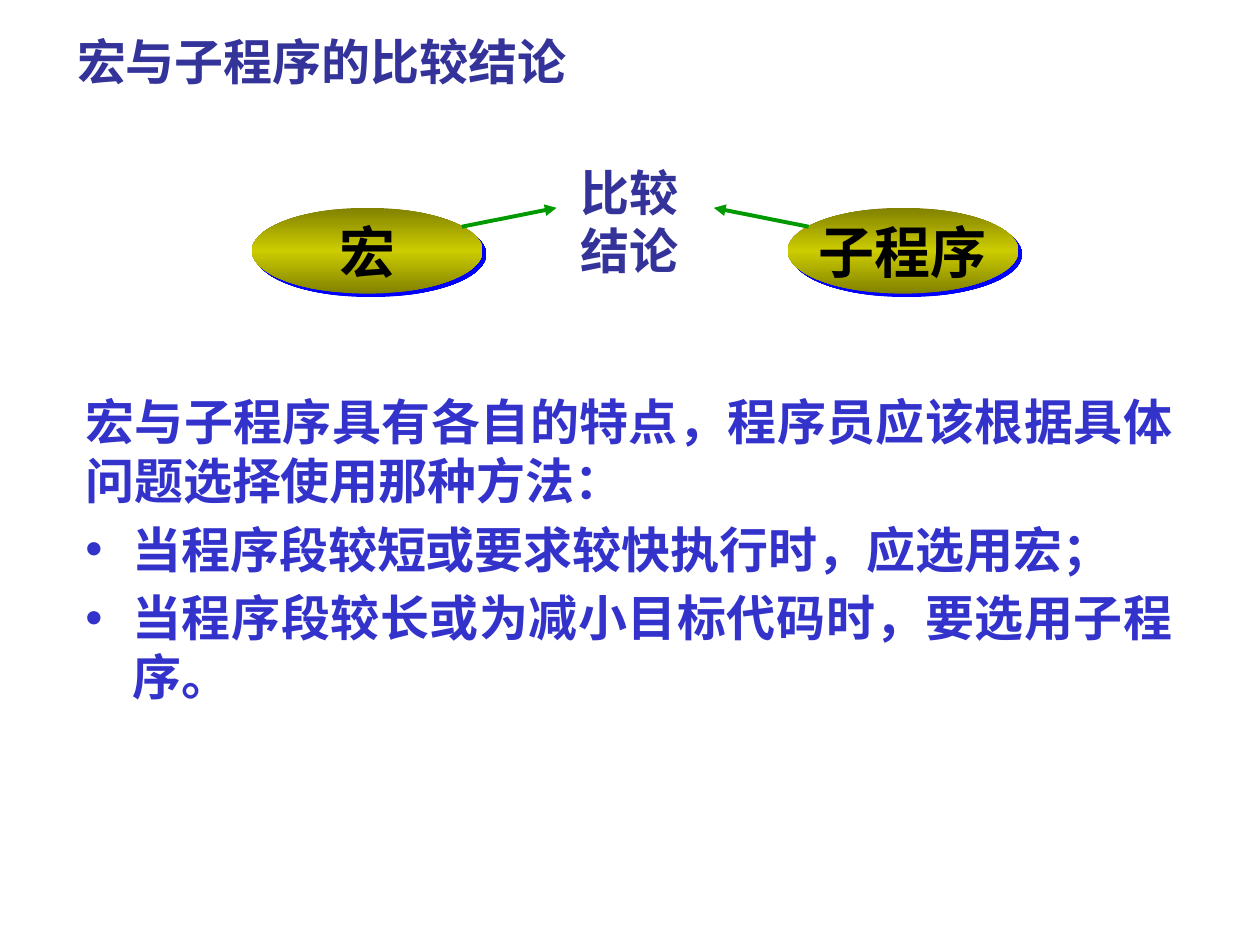
from copy import deepcopy

from lxml import etree
from pptx import Presentation
from pptx import util as u
from pptx.dml.color import RGBColor
from pptx.enum import shapes, text
from pptx.oxml.ns import qn

NAVY, BLUE, GREEN = "333399", "3333CC", "009900"
DARK_OLIVE, OLIVE = "818100", "CCCC00"


def rgb(value):
    return RGBColor.from_string(value)


def style(paragraph, size, color, align):
    paragraph.alignment = align
    for run in paragraph.runs:
        run.font.name = "Arial"
        run.font.size = u.Pt(size)
        run.font.bold = True
        run.font.color.rgb = rgb(color)


prs = Presentation()
prs.slide_width, prs.slide_height = u.Cm(25.4), u.Cm(19.05)
slide = prs.slides.add_slide(prs.slide_layouts[5])

heading = slide.shapes.title
heading.left, heading.top = u.Cm(1.3), u.Cm(0.53)
heading.width, heading.height = u.Cm(22.86), u.Cm(1.4)
heading.text_frame.text = "宏与子程序的比较结论"
heading.text_frame.vertical_anchor = text.MSO_ANCHOR.MIDDLE
style(heading.text_frame.paragraphs[0], 28, NAVY, text.PP_ALIGN.LEFT)

advice = slide.shapes.add_textbox(u.Cm(1.47), u.Cm(7.77), u.Cm(22.43), u.Cm(8.94)).text_frame
advice.word_wrap = True
advice.text = "\n".join([
    "宏与子程序具有各自的特点，程序员应该根据具体问题选择使用那种方法：",
    "当程序段较短或要求较快执行时，应选用宏；",
    "当程序段较长或为减小目标代码时，要选用子程序。",
])
for choice in advice.paragraphs[1:]:
    choice.space_before = u.Pt(5.6)
    properties = choice._p.get_or_add_pPr()
    properties.set("marL", str(u.Cm(0.95)))
    properties.set("indent", str(-u.Cm(0.95)))
    etree.SubElement(properties, qn("a:buFont"), typeface="Arial")
    etree.SubElement(properties, qn("a:buChar"), char="•")
for paragraph in advice.paragraphs:
    style(paragraph, 28, BLUE, text.PP_ALIGN.JUSTIFY)

conclusion = slide.shapes.add_textbox(u.Cm(11), u.Cm(3.12), u.Cm(3.38), u.Cm(2.67)).text_frame
conclusion.word_wrap = True
conclusion.vertical_anchor = text.MSO_ANCHOR.MIDDLE
conclusion.text = "比较\v结论"
style(conclusion.paragraphs[0], 28, NAVY, text.PP_ALIGN.CENTER)

for term, left in [("宏", 5.08), ("子程序", 15.88)]:
    oval = slide.shapes.add_shape(
        shapes.MSO_SHAPE.OVAL, u.Cm(left), u.Cm(4.19), u.Cm(4.65), u.Cm(1.73))
    oval.line.fill.background()
    oval.fill.gradient()
    oval.fill.gradient_angle = 270
    edge, middle = oval.fill.gradient_stops
    edge.color.rgb, edge.position = rgb(DARK_OLIVE), 0
    middle.color.rgb, middle.position = rgb(OLIVE), 0.5
    stops = oval._element.spPr.find(".//" + qn("a:gsLst"))
    far_edge = deepcopy(stops[0])
    far_edge.set("pos", "100000")
    stops.append(far_edge)

    oval.shadow.inherit = False
    effects = oval._element.spPr.find(qn("a:effectLst"))
    shadow = etree.SubElement(effects, qn("a:outerShdw"), dist=str(u.Pt(2.8)),
                              dir="2700000", algn="ctr", rotWithShape="0")
    etree.SubElement(shadow, qn("a:srgbClr"), val="0000FF")

    label = oval.text_frame
    label.word_wrap = False
    label.vertical_anchor = text.MSO_ANCHOR.MIDDLE
    label.text = term
    style(label.paragraphs[0], 32, "000000", text.PP_ALIGN.CENTER)

for start, end in [(9.31, 11.22), (16.3, 14.39)]:
    arrow = slide.shapes.add_connector(
        shapes.MSO_CONNECTOR.STRAIGHT, u.Cm(start), u.Cm(4.57), u.Cm(end), u.Cm(4.19))
    arrow.line.color.rgb = rgb(GREEN)
    arrow.line.width = u.Pt(2.25)
    etree.SubElement(arrow.line._get_or_add_ln(), qn("a:tailEnd"), type="triangle")
    etree.SubElement(arrow._element.spPr, qn("a:effectLst"))

prs.save("out.pptx")
